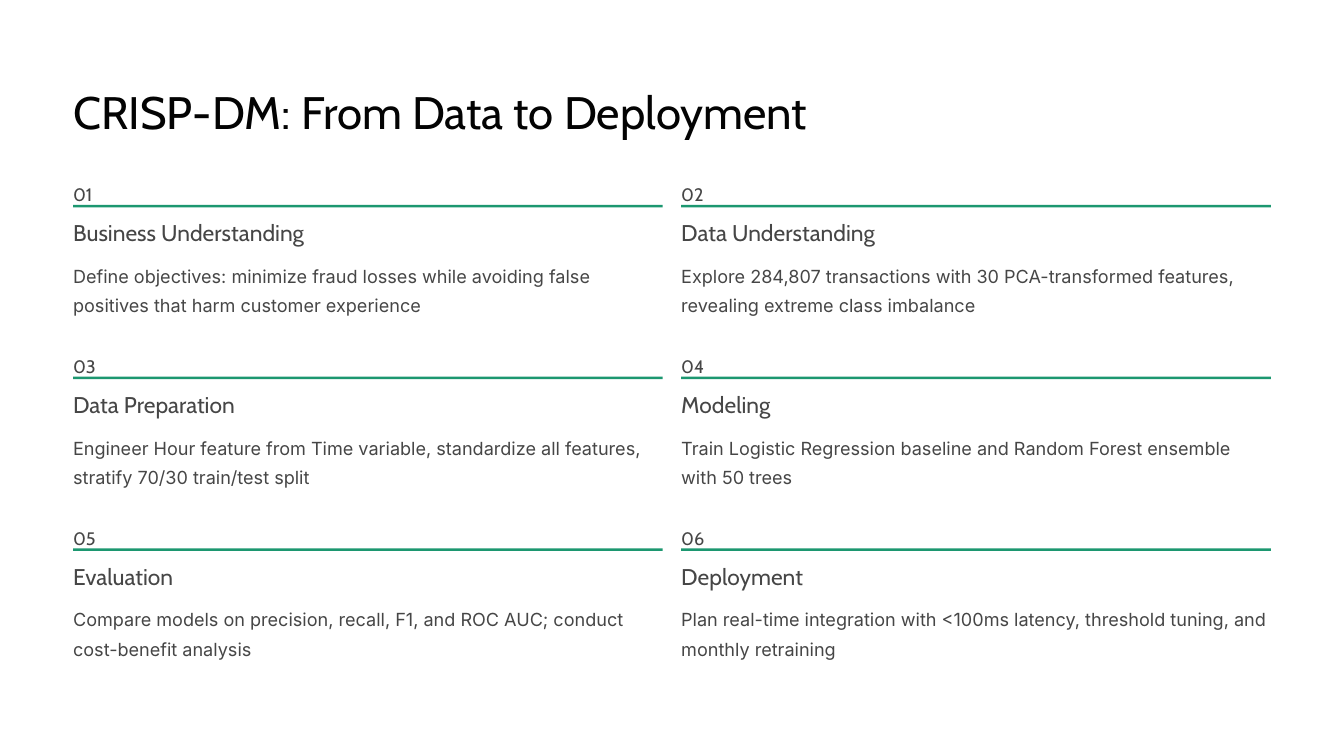
from pptx import Presentation
from pptx.dml.color import RGBColor
from pptx.enum.shapes import MSO_SHAPE
from pptx.enum.text import MSO_ANCHOR, MSO_AUTO_SIZE, PP_ALIGN
from pptx.util import Inches, Pt

# Content
TITLE = "CRISP-DM: From Data to Deployment"
PHASES = [
    ("Business Understanding",
     "Define objectives: minimize fraud losses while avoiding false positives that harm customer experience"),
    ("Data Understanding",
     "Explore 284,807 transactions with 30 PCA-transformed features, revealing extreme class imbalance"),
    ("Data Preparation",
     "Engineer Hour feature from Time variable, standardize all features, stratify 70/30 train/test split"),
    ("Modeling",
     "Train Logistic Regression baseline and Random Forest ensemble with 50 trees"),
    ("Evaluation",
     "Compare models on precision, recall, F1, and ROC AUC; conduct cost-benefit analysis"),
    ("Deployment",
     "Plan real-time integration with <100ms latency, threshold tuning, and monthly retraining"),
]

# Style and grid, in inches
BLACK, GREY, GREEN, WHITE = "030303", "464646", "1C9770", "FFFFFF"
HEAD_FONT, BODY_FONT = "Cabin", "Inter"
LEFT, TOP = 0.87, 2.1
COL_W, COL_STEP, ROW_STEP = 7.02, 7.24, 2.045
HEADING_MIN_W, HEADING_CHAR_W = 2.71, 0.143


def rgb(value):
    return RGBColor.from_string(value)


def place(sp, x, y, w, h):
    sp.left, sp.top, sp.width, sp.height = map(Inches, (x, y, w, h))


def write(sp, text, font, size, color, spacing, wrap=False):
    tf = sp.text_frame
    tf.margin_left = tf.margin_top = tf.margin_right = tf.margin_bottom = 0
    tf.word_wrap = wrap
    tf.auto_size = MSO_AUTO_SIZE.NONE
    tf.vertical_anchor = MSO_ANCHOR.TOP
    tf.text = text
    p = tf.paragraphs[0]
    p.alignment = PP_ALIGN.LEFT
    p.line_spacing = Pt(spacing)
    r = p.runs[0]
    r.font.name, r.font.size = font, Pt(size)
    r.font.color.rgb = rgb(color)


def add_text(s, box, *style, **options):
    write(s.shapes.add_textbox(*map(Inches, box)), *style, **options)


def add_phase(s, number, heading, body, x, y):
    add_text(s, (x, y, 0.22, 0.27), f"{number:02d}", HEAD_FONT, 15.5, GREY, 25)

    # Green rule under the number
    rule = s.shapes.add_shape(MSO_SHAPE.RECTANGLE,
                              *map(Inches, (x, y + 0.34, COL_W, 0.03)))
    rule.shadow.inherit = False
    rule.fill.solid()
    rule.fill.fore_color.rgb = rgb(GREEN)
    rule.line.fill.background()

    heading_w = max(HEADING_MIN_W, len(heading) * HEADING_CHAR_W)
    add_text(s, (x, y + 0.5, heading_w, 0.34), heading, HEAD_FONT, 19.5, GREY, 24)
    add_text(s, (x, y + 0.97, COL_W, 0.69), body, BODY_FONT, 15.5, GREY, 25, wrap=True)


def main():
    prs = Presentation()
    prs.slide_width, prs.slide_height = Inches(16), Inches(9)
    s = prs.slides.add_slide(prs.slide_layouts[5])
    s.background.fill.solid()
    s.background.fill.fore_color.rgb = rgb(WHITE)

    # Title
    place(s.shapes.title, LEFT, 0.98, 9.66, 0.68)
    write(s.shapes.title, TITLE, HEAD_FONT, 39, BLACK, 48.5)

    # Two columns of phases, numbered row by row
    for i, (heading, body) in enumerate(PHASES):
        row, col = divmod(i, 2)
        add_phase(s, i + 1, heading, body,
                  LEFT + col * COL_STEP, TOP + row * ROW_STEP)

    prs.save("out.pptx")


if __name__ == "__main__":
    main()
